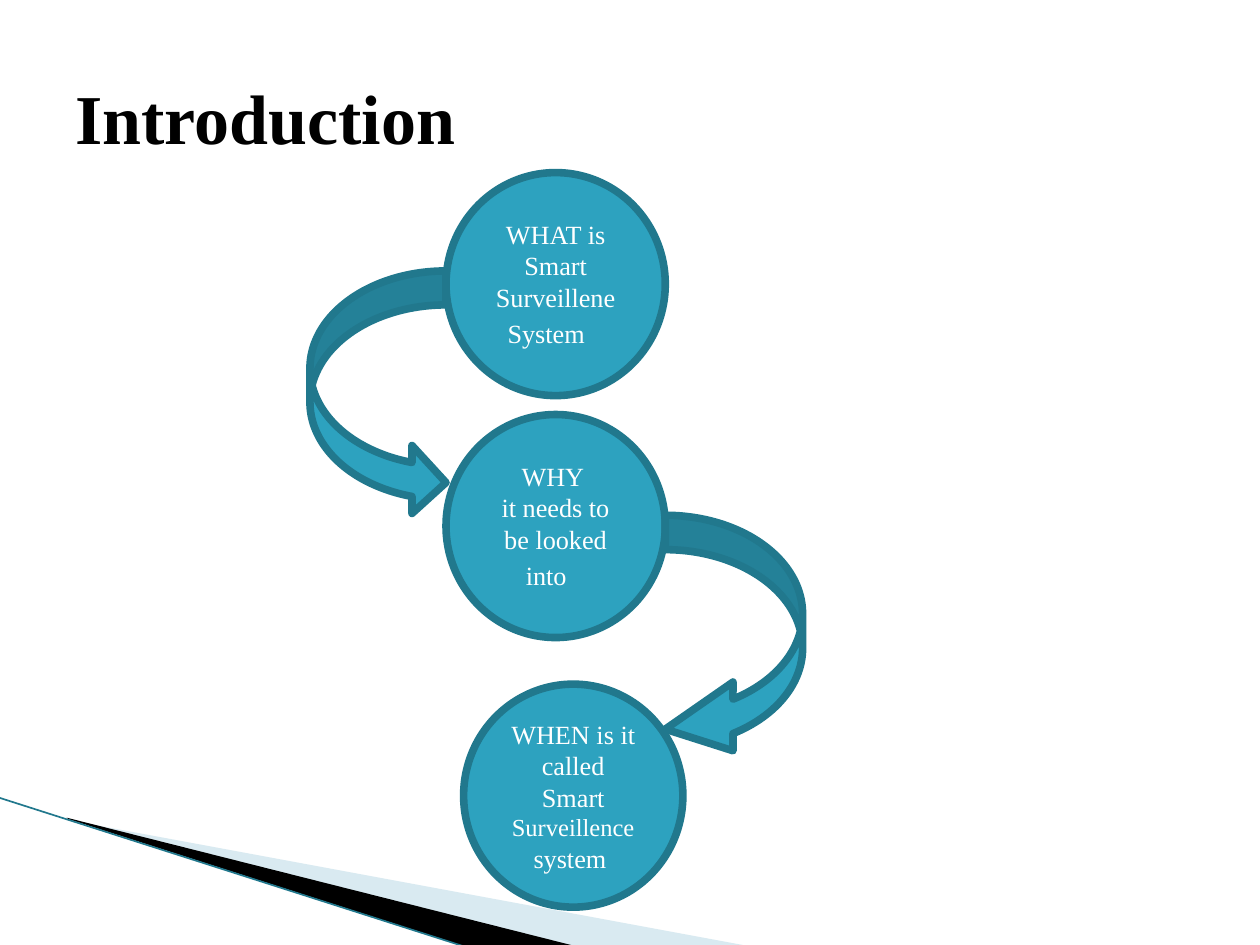
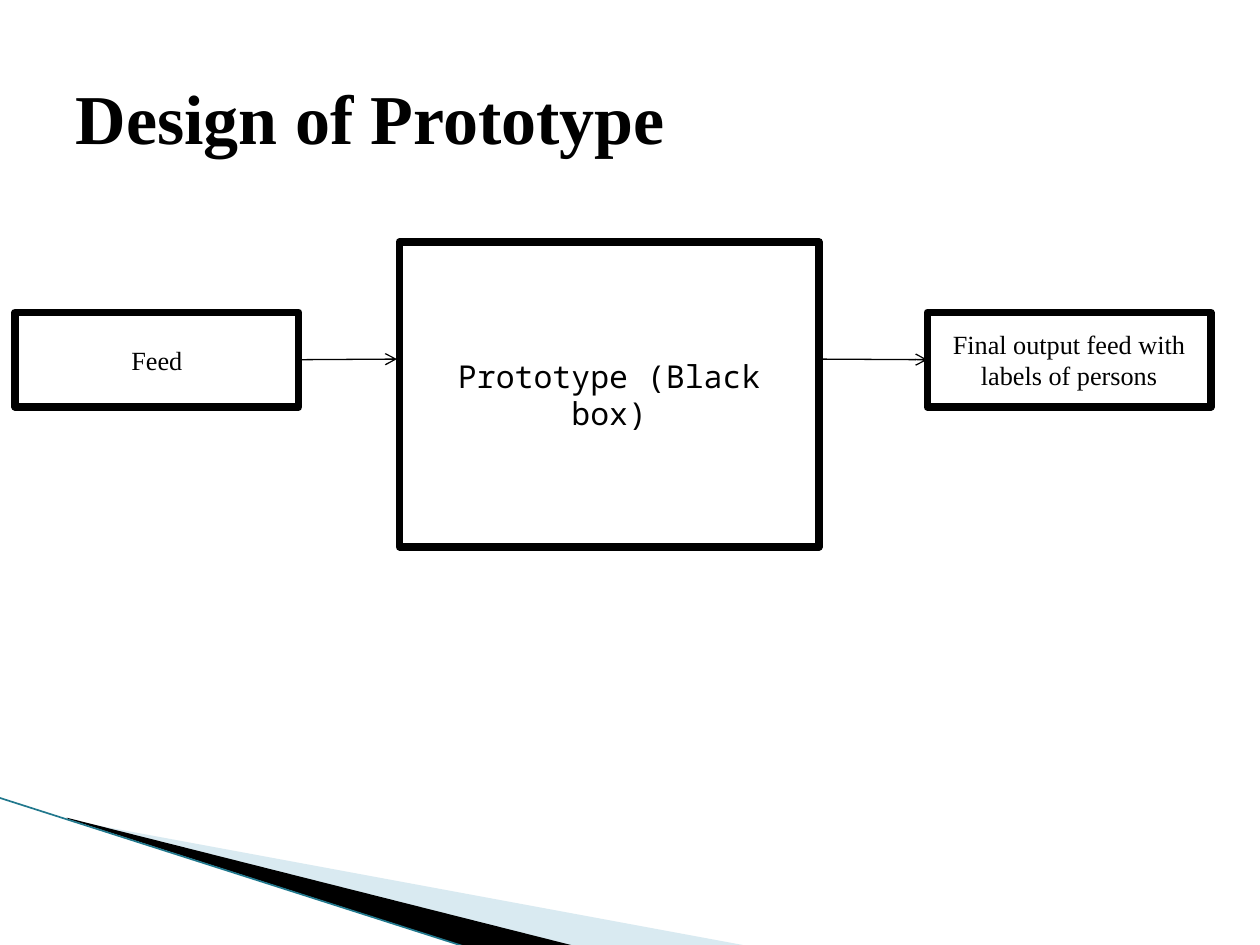
from lxml.etree import SubElement
from pptx import Presentation
from pptx.dml.color import RGBColor
from pptx.enum.shapes import MSO_CONNECTOR as Connector, MSO_SHAPE as Shape
from pptx.enum.text import MSO_ANCHOR as Anchor, PP_ALIGN as Align
from pptx.oxml.ns import qn
from pptx.util import Inches, Pt

SERIF, MONO = "Times New Roman", "Noto Sans Mono"
TEAL, DARK_TEAL, PALE_BLUE = "2DA2BF", "21788D", "A0CBDC"
BLACK, WHITE = "000000", "FFFFFF"
BORDER = 4.33
TITLE_ONLY = 5
TITLE_BOX = (0.5, 0.3, 9, 1.25)

# Corner decoration: points, colour, opacity in percent
WEDGES = [
    ([(0.55, 6.51), (5.95, 7.51), (4.56, 7.51), (0.55, 6.5)], PALE_BLUE, 40),
    ([(0.53, 6.49), (4.57, 7.51), (3.72, 7.52), (0.54, 6.5)], BLACK, 100),
]
EDGE = ((-0.01, 6.33), (3.71, 7.52))

# A paragraph is a list of runs; a run is (text, size, font)
TALL_SPACE = (" ", 18, MONO)
CIRCLE_SIZE = (1.74, 1.77)
QUESTIONS = [
    ((3.54, 1.37), [[("WHAT is Smart Surveillene System", 15, SERIF), TALL_SPACE]]),
    ((3.54, 3.29), [[("WHY ", 15, SERIF)],
                    [("it needs to be looked into", 15, SERIF), TALL_SPACE]]),
    ((3.68, 5.43), [[("WHEN is it called Smart ", 15, SERIF),
                     ("Surveillence ", 14, SERIF), ("system ", 15, SERIF)]]),
]
# Box, head length, mirrored
CURVED_ARROWS = [
    ((2.46, 2.15, 1.08, 1.95), 0.25, False),
    ((5.28, 4.09, 1.09, 1.97), 0.493, True),
]

FLOW = {
    "feed": ((0.12, 2.48, 2.25, 0.75), ("Feed", 15, SERIF)),
    "prototype": ((3.17, 1.92, 3.33, 2.42), ("Prototype (Black box)", 18, MONO)),
    "output": ((7.36, 2.48, 2.25, 0.75),
               ("Final output feed with labels of persons", 15, SERIF)),
}
FLOW_Y = 2.85


def color(hex_text):
    return RGBColor.from_string(hex_text)


def write(shape, paragraphs, text_color=BLACK, bold=False, align=Align.CENTER):
    frame = shape.text_frame
    frame.word_wrap = True
    frame.vertical_anchor = Anchor.MIDDLE
    for index, runs in enumerate(paragraphs):
        paragraph = frame.add_paragraph() if index else frame.paragraphs[0]
        paragraph.alignment = align
        for text, size, font_name in runs:
            run = paragraph.add_run()
            run.text = text
            run.font.size = Pt(size)
            run.font.name = font_name
            run.font.bold = bold
            run.font.color.rgb = color(text_color)


def add_box(slide, kind, box, fill, line):
    shape = slide.shapes.add_shape(kind, *map(Inches, box))
    shape.shadow.inherit = False
    shape.fill.solid()
    shape.fill.fore_color.rgb = color(fill)
    shape.line.color.rgb = color(line)
    shape.line.width = Pt(BORDER)
    return shape


def add_line(slide, start, end, line_color, width, arrow=False):
    line = slide.shapes.add_connector(
        Connector.STRAIGHT, *map(Inches, (*start, *end)))
    line.line.color.rgb = color(line_color)
    line.line.width = Pt(width)
    properties = line.element.spPr
    if arrow:
        SubElement(properties.find(qn("a:ln")), qn("a:tailEnd"), type="arrow")
    SubElement(properties, qn("a:effectLst"))
    return line


def add_wedge(slide, points, fill, opacity):
    first, *others = [tuple(map(Inches, point)) for point in points]
    builder = slide.shapes.build_freeform(*first)
    builder.add_line_segments(others, close=True)
    wedge = builder.convert_to_shape()
    wedge.shadow.inherit = False
    wedge.fill.solid()
    wedge.fill.fore_color.rgb = color(fill)
    wedge.line.fill.background()
    if opacity < 100:
        rgb = wedge.element.spPr.find(qn("a:solidFill")).find(qn("a:srgbClr"))
        SubElement(rgb, qn("a:alpha"), val=str(opacity * 1000))
    return wedge


def decorate_master(presentation, slide):
    """Draw the corner on a slide, then move it to the master both slides share."""
    parts = [add_wedge(slide, *wedge) for wedge in WEDGES]
    parts.append(add_line(slide, *EDGE, DARK_TEAL, 0.95))
    for part in parts:
        presentation.slide_master.shapes.element.append(part.element)


def add_titled_slide(presentation, text):
    slide = presentation.slides.add_slide(presentation.slide_layouts[TITLE_ONLY])
    title = slide.shapes.title
    title.left, title.top, title.width, title.height = map(Inches, TITLE_BOX)
    write(title, [[(text, 40, SERIF)]], bold=True, align=Align.LEFT)
    return slide


def add_question(slide, position, paragraphs):
    circle = add_box(slide, Shape.OVAL, position + CIRCLE_SIZE, TEAL, DARK_TEAL)
    write(circle, paragraphs, WHITE)


def add_curved_arrow(slide, box, head_length, mirrored):
    arrow = add_box(slide, Shape.CURVED_RIGHT_ARROW, box, TEAL, DARK_TEAL)
    arrow.adjustments[2] = head_length
    if mirrored:
        arrow.element.spPr.find(qn("a:xfrm")).set("flipH", "1")


def fill_introduction(slide):
    for index, question in enumerate(QUESTIONS):
        add_question(slide, *question)
        if index < len(CURVED_ARROWS):
            add_curved_arrow(slide, *CURVED_ARROWS[index])


def fill_design(slide):
    boxes = {}
    for name, (box, run) in FLOW.items():
        boxes[name] = add_box(slide, Shape.RECTANGLE, box, WHITE, BLACK)
        write(boxes[name], [[run]])
    to_prototype = add_line(slide, (2.37, FLOW_Y), (3.15, FLOW_Y), BLACK, 0.75, arrow=True)
    to_prototype.begin_connect(boxes["feed"], 3)
    to_output = add_line(slide, (6.5, FLOW_Y), (7.36, FLOW_Y), BLACK, 0.75, arrow=True)
    to_output.end_connect(boxes["output"], 1)


def main():
    presentation = Presentation()
    presentation.slide_width, presentation.slide_height = Inches(10), Inches(7.5)
    introduction = add_titled_slide(presentation, "Introduction")
    decorate_master(presentation, introduction)
    fill_introduction(introduction)
    fill_design(add_titled_slide(presentation, "Design of Prototype"))
    presentation.save("out.pptx")


if __name__ == "__main__":
    main()
